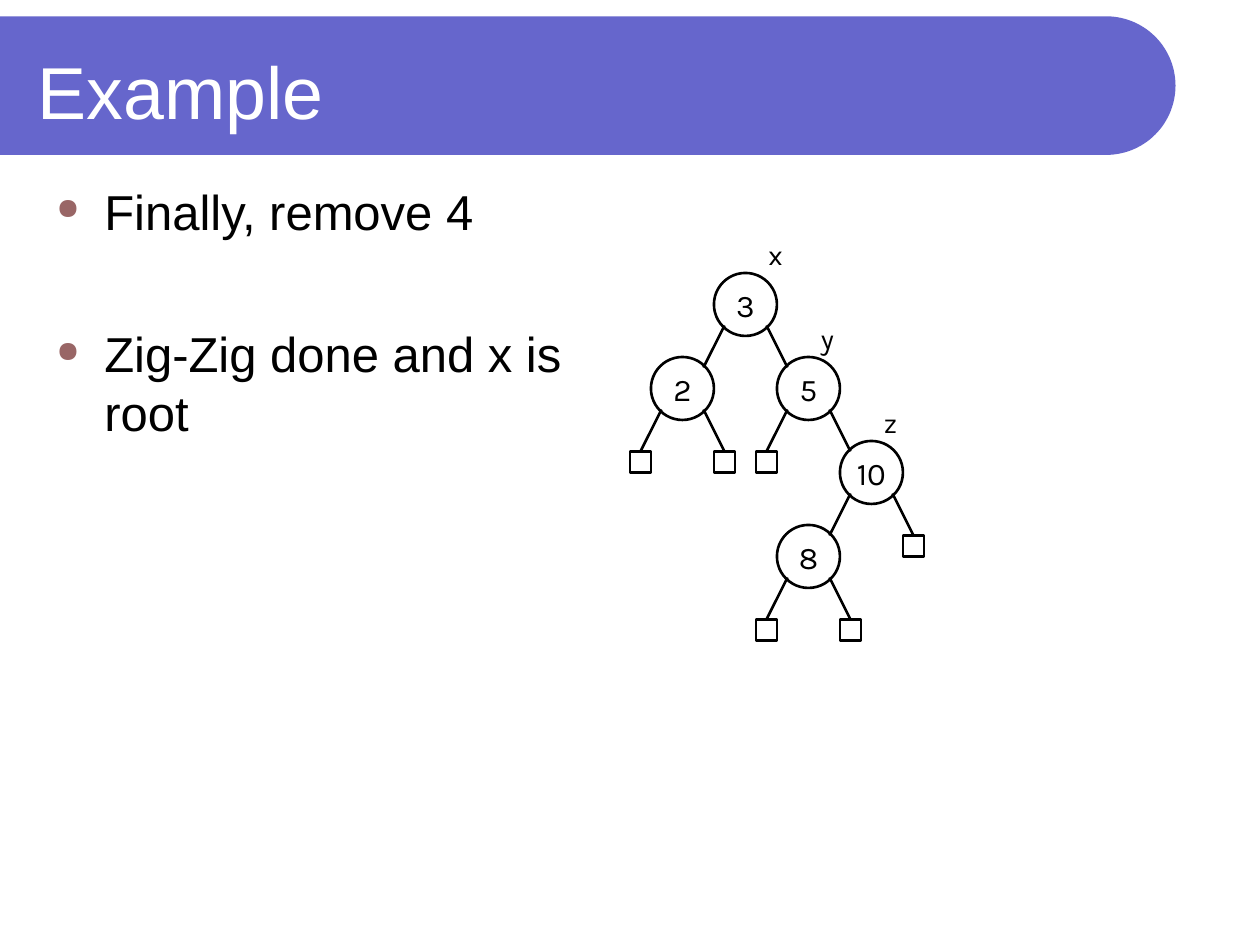
import math
from dataclasses import dataclass
from typing import Optional

from lxml import etree
from pptx import Presentation
from pptx import util as u
from pptx.dml.color import RGBColor
from pptx.enum import shapes, text
from pptx.oxml.ns import qn

WIDTH, HEIGHT = u.Inches(10), u.Inches(7.5)
COLUMNS = 120                      # square grid, twelve cells to the inch
CELL = WIDTH / COLUMNS
BLACK, WHITE, PURPLE, BROWN = "000000", "FFFFFF", "6666CC", "996666"
CIRCLE, LEAF, LEVEL = 6, 2, 8      # sizes and level height, in cells


@dataclass(frozen=True)
class Node:
    """A tree node; a missing child is drawn as a square leaf."""
    key: str
    left: Optional["Node"] = None
    right: Optional["Node"] = None
    label: str = ""
    label_shift: float = 3


TREE = Node(
    "3", label="x", label_shift=4,
    left=Node("2"),
    right=Node("5", label="y", right=Node("10", label="z", left=Node("8"))),
)


def color(value: str) -> RGBColor:
    return RGBColor.from_string(value)


def grid(cells: float) -> int:
    return round(cells * CELL)


def set_font(para, size: float, name: str, value: str = BLACK) -> None:
    para.font.size = u.Pt(size)
    para.font.name = name
    para.font.color.rgb = color(value)


def add_text(page, left: float, top: float, width: float, height: float, wrap: bool = True):
    """Add a text box placed by shares of the slide's size."""
    box = page.shapes.add_textbox(round(left * WIDTH), round(top * HEIGHT),
                                  round(width * WIDTH), round(height * HEIGHT))
    box.text_frame.word_wrap = wrap
    return box.text_frame


def add_banner(page) -> None:
    """Draw the title bar with its half-round right end."""
    radius, center_x, center_y = u.Inches(0.55), u.Inches(8.78), u.Inches(0.68)
    angles = [math.radians(step * 3 - 90) for step in range(61)]
    arc = [(round(center_x + radius * math.cos(a)), round(center_y + radius * math.sin(a)))
           for a in angles]
    builder = page.shapes.build_freeform(0, center_y - radius)
    builder.add_line_segments(arc + [(0, center_y + radius)], close=True)
    banner = builder.convert_to_shape()
    banner.shadow.inherit = False
    banner.fill.solid()
    banner.fill.fore_color.rgb = color(PURPLE)
    banner.line.fill.background()


def add_bullet(para) -> None:
    props = para._p.get_or_add_pPr()
    props.set("marL", str(u.Inches(0.38)))
    props.set("indent", str(-u.Inches(0.38)))
    tint = etree.SubElement(props, qn("a:buClr"))
    etree.SubElement(tint, qn("a:srgbClr"), val=BROWN)
    etree.SubElement(props, qn("a:buSzPct"), val="60000")
    etree.SubElement(props, qn("a:buChar"), char="●")


def add_outline(page, kind, column: float, row: float, size: float):
    shape = page.shapes.add_shape(kind, grid(column), grid(row), grid(size), grid(size))
    shape.shadow.inherit = False
    shape.fill.background()
    shape.line.color.rgb = color(BLACK)
    shape.line.width = u.Pt(1.5)
    return shape


def add_edge(page, start: tuple[float, float], end: tuple[float, float]) -> None:
    edge = page.shapes.add_connector(shapes.MSO_CONNECTOR.STRAIGHT,
                                     *map(grid, start), *map(grid, end))
    edge.line.color.rgb = color(BLACK)
    edge.line.width = u.Pt(1.5)
    etree.SubElement(edge._element.spPr, qn("a:effectLst"))


def add_label(page, node: Node, column: float, row: float) -> None:
    frame = add_text(page, (column + node.label_shift) / COLUMNS,
                     (row - 4) * CELL / HEIGHT, 0.03, 0.05, wrap=False)
    para = frame.paragraphs[0]
    para.text = node.label
    para.alignment = text.PP_ALIGN.CENTER
    set_font(para, 16, "Karla")


def add_tree(page, node: Node, column: float, row: float) -> None:
    """Draw a node at its top left cell, then its children and edges."""
    circle = add_outline(page, shapes.MSO_SHAPE.OVAL, column, row, CIRCLE)
    circle.fill.solid()
    circle.fill.fore_color.rgb = color(WHITE)
    frame = circle.text_frame
    frame.word_wrap = False
    frame.vertical_anchor = text.MSO_ANCHOR.MIDDLE
    para = frame.paragraphs[0]
    para.text = node.key
    para.alignment = text.PP_ALIGN.CENTER
    set_font(para, 18, "Karla")
    if node.label:
        add_label(page, node, column, row)

    middle = column + CIRCLE / 2
    for side, child in ((-1, node.left), (1, node.right)):
        if child:
            add_tree(page, child, column + side * CIRCLE, row + LEVEL)
        else:
            add_outline(page, shapes.MSO_SHAPE.RECTANGLE,
                        middle + side * 4 - LEAF / 2, row + LEVEL + 1, LEAF)
        add_edge(page, (middle + side * 2, row + 5), (middle + side * 4, row + LEVEL + 1))


def main() -> None:
    deck = Presentation()
    deck.slide_width, deck.slide_height = WIDTH, HEIGHT
    page = deck.slides.add_slide(deck.slide_layouts[6])

    # Title bar
    add_banner(page)
    title = add_text(page, 0.02, 0.03, 0.88, 0.13)
    title.vertical_anchor = text.MSO_ANCHOR.MIDDLE
    title.paragraphs[0].text = "Example"
    set_font(title.paragraphs[0], 42, "Arial", WHITE)

    # Bullets
    body = add_text(page, 0.035, 0.185, 0.456, 0.767)
    for index, line in enumerate(("Finally, remove 4", "Zig-Zig done and x is root")):
        para = body.add_paragraph() if index else body.paragraphs[0]
        para.text = line
        add_bullet(para)
        if index:
            para.space_before = u.Pt(48)
        set_font(para, 28, "Arial")

    # Splay tree
    add_tree(page, TREE, 68, 26)

    deck.save("out.pptx")


if __name__ == "__main__":
    main()
